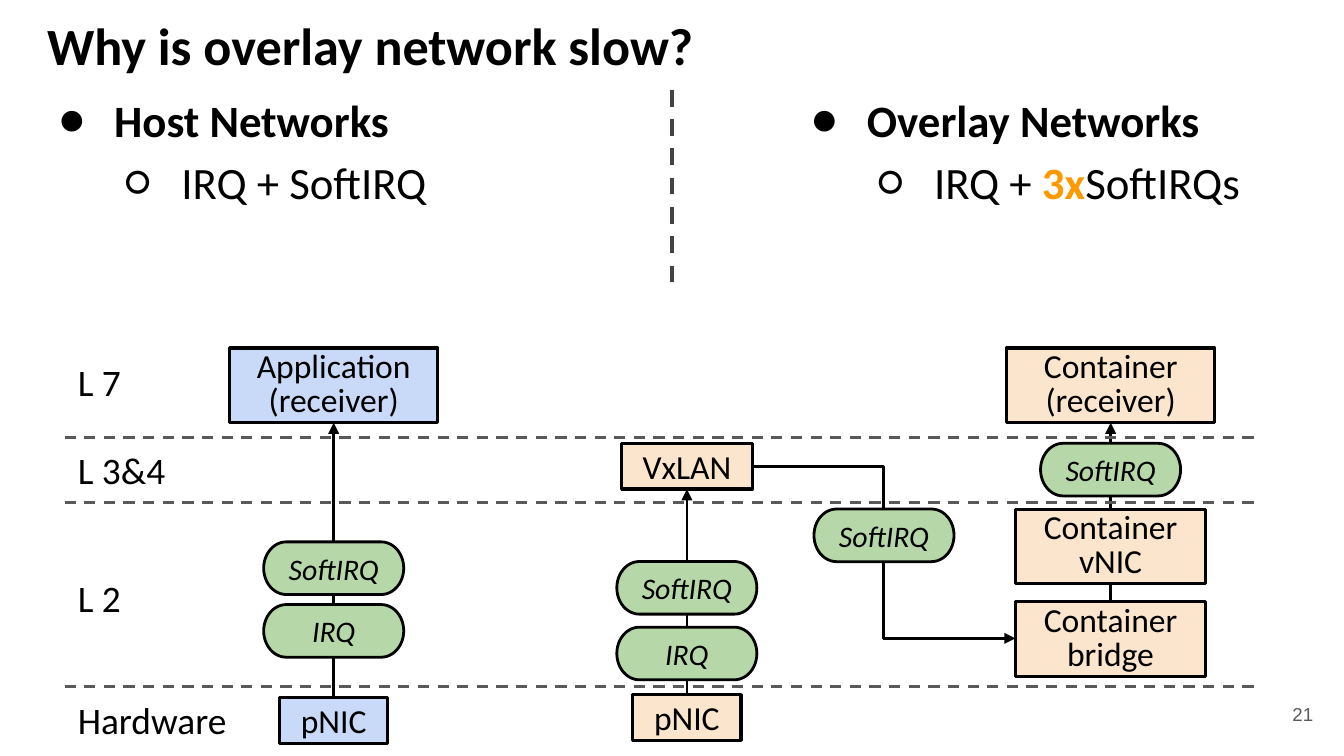
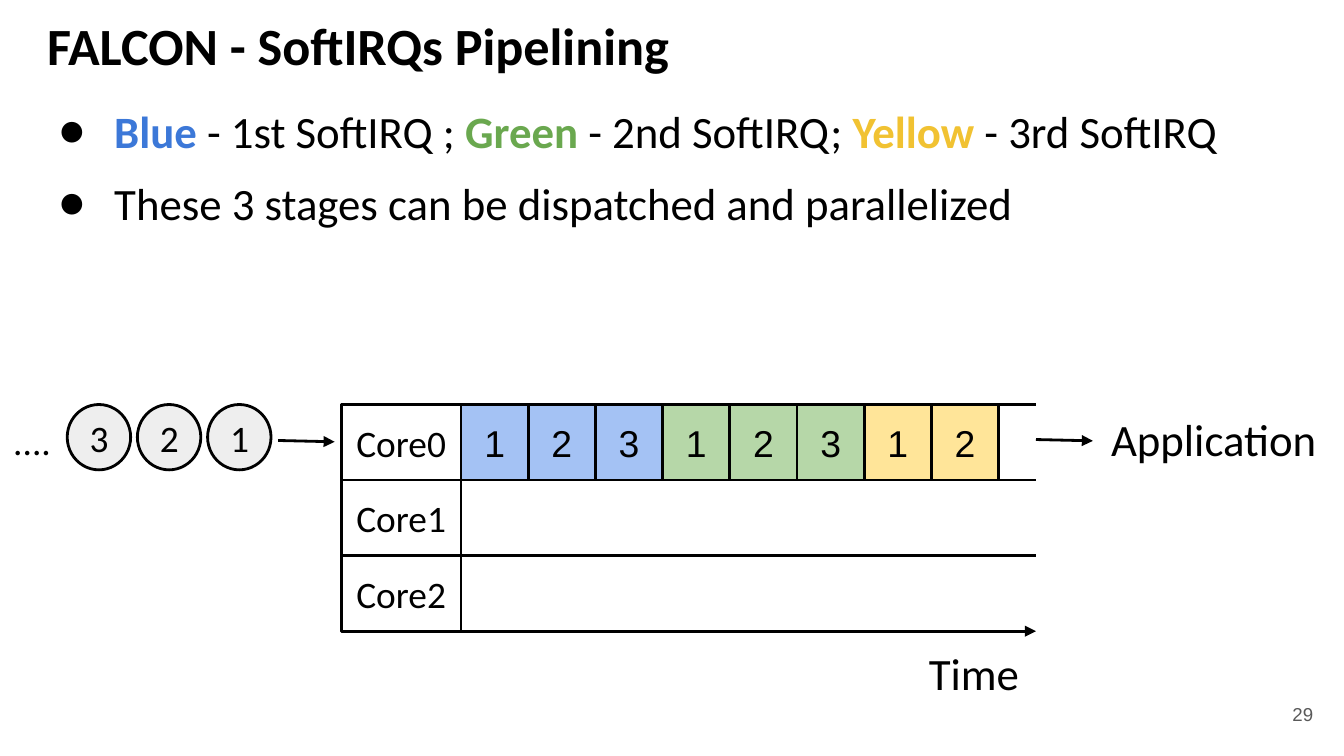
from dataclasses import dataclass

from lxml import etree
from pptx import Presentation
from pptx.dml.color import RGBColor
from pptx.enum.dml import MSO_LINE
from pptx.enum.shapes import MSO_CONNECTOR, MSO_SHAPE
from pptx.enum.text import MSO_ANCHOR, MSO_AUTO_SIZE, PP_ALIGN
from pptx.oxml.ns import qn
from pptx.util import Pt

STRAIGHT, ELBOW = MSO_CONNECTOR.STRAIGHT, MSO_CONNECTOR.ELBOW
RECT = MSO_SHAPE.RECTANGLE
PILL = MSO_SHAPE.FLOWCHART_TERMINATOR
CIRCLE = MSO_SHAPE.FLOWCHART_CONNECTOR
LEFT, CENTER, RIGHT = PP_ALIGN.LEFT, PP_ALIGN.CENTER, PP_ALIGN.RIGHT
TOP, MIDDLE = MSO_ANCHOR.TOP, MSO_ANCHOR.MIDDLE
FIXED_SIZE = MSO_AUTO_SIZE.NONE
DASH = MSO_LINE.DASH

BLACK = RGBColor(0x00, 0x00, 0x00)
GRAY = RGBColor(0x59, 0x59, 0x59)
DARK_GRAY = RGBColor(0x43, 0x43, 0x43)
PACKET_GRAY = RGBColor(0xEE, 0xEE, 0xEE)
HOST_BLUE = RGBColor(0xC9, 0xDA, 0xF8)
OVERLAY_PEACH = RGBColor(0xFC, 0xE5, 0xCD)
STAGE_BLUE = RGBColor(0xA4, 0xC2, 0xF4)
STAGE_GREEN = RGBColor(0xB6, 0xD7, 0xA8)
STAGE_YELLOW = RGBColor(0xFF, 0xE5, 0x99)
WORD_ORANGE = RGBColor(0xFF, 0x99, 0x00)
WORD_BLUE = RGBColor(0x3C, 0x78, 0xD8)
WORD_GREEN = RGBColor(0x6A, 0xA8, 0x4F)
WORD_YELLOW = RGBColor(0xF1, 0xC2, 0x32)

MAIN_FONT, NUMBER_FONT = "Calibri", "Arial"
INSET = 7.2
BULLETS = "●○"


@dataclass
class Area:
    left: float
    top: float
    width: float
    height: float

    def lengths(self) -> tuple:
        return Pt(self.left), Pt(self.top), Pt(self.width), Pt(self.height)


@dataclass
class Style:
    size: float
    font: str = MAIN_FONT
    color: RGBColor = BLACK
    bold: bool = False
    italic: bool = False
    align: int = LEFT


@dataclass
class Span:
    text: str
    color: RGBColor = BLACK
    bold: bool = False


@dataclass
class Item:
    spans: list[Span]
    level: int = 0


@dataclass
class Component:
    text: str
    center: float
    top: float
    width: float
    height: float
    fill: RGBColor


@dataclass
class Link:
    start: tuple[float, float]
    end: tuple[float, float]
    arrow: bool = True
    kind: int = STRAIGHT


TITLE_AREA = Area(18, 0, 671, 48.2)
TITLE = Style(28, bold=True)
PAGE_NUMBER = Style(10, NUMBER_FONT, GRAY, align=RIGHT)
LABEL = Style(20)
LARGE_LABEL = Style(24)
COMPONENT = Style(18, align=CENTER)
INTERRUPT = Style(16, italic=True, align=CENTER)
PACKET = Style(20, align=CENTER)
SLOT = Style(20, NUMBER_FONT, align=CENTER)


def set_frame(frame, anchor: int, inset_x: float = INSET, inset_y: float = INSET) -> None:
    frame.auto_size = FIXED_SIZE
    frame.word_wrap = True
    frame.vertical_anchor = anchor
    frame.margin_left = frame.margin_right = Pt(inset_x)
    frame.margin_top = frame.margin_bottom = Pt(inset_y)


def write(frame, text: str, style: Style) -> None:
    paragraph = frame.paragraphs[0]
    paragraph.add_run().text = text
    paragraph.alignment = style.align
    font = paragraph.font
    font.name, font.size = style.font, Pt(style.size)
    font.bold, font.italic = style.bold, style.italic
    font.color.rgb = style.color


def place(shape, area: Area) -> None:
    shape.left, shape.top, shape.width, shape.height = area.lengths()


def add_label(slide, text: str, area: Area, style: Style, anchor: int = TOP) -> None:
    frame = slide.shapes.add_textbox(*area.lengths()).text_frame
    set_frame(frame, anchor)
    write(frame, text, style)


def add_block(slide, text: str, area: Area, style: Style, fill: RGBColor | None = None,
              kind: int = RECT, weight: float = 1.5,
              insets: tuple[float, float] = (INSET, INSET)):
    block = slide.shapes.add_shape(kind, *area.lengths())
    block.shadow.inherit = False
    if fill is None:
        block.fill.background()
    else:
        block.fill.solid()
        block.fill.fore_color.rgb = fill
    block.line.color.rgb = BLACK
    block.line.width = Pt(weight)
    set_frame(block.text_frame, MIDDLE, *insets)
    write(block.text_frame, text, style)
    return block


def add_line(slide, link: Link, color: RGBColor = BLACK, weight: float = 1.5,
             dashed: bool = False) -> None:
    ends = [Pt(length) for length in (*link.start, *link.end)]
    line = slide.shapes.add_connector(link.kind, *ends)
    line.line.color.rgb = color
    line.line.width = Pt(weight)
    if dashed:
        line.line.dash_style = DASH
    if link.arrow:
        etree.SubElement(line.line._get_or_add_ln(), qn("a:tailEnd"), type="triangle")
    etree.SubElement(line._element.spPr, qn("a:effectLst"))


def add_bullet(paragraph, level: int) -> None:
    properties = paragraph._p.get_or_add_pPr()
    properties.set("marL", str(Pt(36 * (level + 1))))
    properties.set("indent", str(Pt(-30)))
    bullet_color = etree.SubElement(properties, qn("a:buClr"))
    etree.SubElement(bullet_color, qn("a:srgbClr"), val=str(BLACK))
    etree.SubElement(properties, qn("a:buFont"), typeface=MAIN_FONT)
    etree.SubElement(properties, qn("a:buChar"), char=BULLETS[level])


def fill_list(placeholder, area: Area, items: list[Item], spacing: float) -> None:
    place(placeholder, area)
    frame = placeholder.text_frame
    set_frame(frame, TOP)
    for index, item in enumerate(items):
        paragraph = frame.add_paragraph() if index else frame.paragraphs[0]
        paragraph.level = item.level
        add_bullet(paragraph, item.level)
        paragraph.alignment = LEFT
        paragraph.line_spacing = spacing
        paragraph.space_before = paragraph.space_after = Pt(10 if index else 0)
        paragraph.font.name, paragraph.font.size = MAIN_FONT, Pt(24)
        for span in item.spans:
            run = paragraph.add_run()
            run.text = span.text
            run.font.bold = span.bold
            run.font.color.rgb = span.color


def start_slide(deck, layout: int, title: str, number: str):
    slide = deck.slides.add_slide(deck.slide_layouts[layout])
    heading = slide.shapes.title
    place(heading, TITLE_AREA)
    set_frame(heading.text_frame, TOP)
    write(heading.text_frame, title, TITLE)
    add_label(slide, number, Area(667.4, 367.2, 43.2, 31), PAGE_NUMBER, MIDDLE)
    return slide


def build_overlay_slide(deck) -> None:
    slide = start_slide(deck, 3, "Why is overlay network slow?", "21")
    host_list, overlay_list = slide.placeholders[1], slide.placeholders[2]
    fill_list(host_list, Area(18, 48.2, 281, 71.3), [
        Item([Span("Host Networks", bold=True)]),
        Item([Span("IRQ + SoftIRQ")], 1)], 0.8)
    fill_list(overlay_list, Area(421.2, 48.2, 281, 71.3), [
        Item([Span("Overlay Networks", bold=True)]),
        Item([Span("IRQ + "), Span("3x", WORD_ORANGE, True), Span("SoftIRQs")], 1)], 0.8)
    add_line(slide, Link((360, 48.2), (360, 153.4), False), DARK_GRAY, 2.25, True)

    host, overlay, transfer, container = 178.8, 368, 473.6, 595
    components = [
        Component("pNIC", host, 373.7, 58, 24.5, HOST_BLUE),
        Component("Application (receiver)", host, 186.5, 111.6, 40, HOST_BLUE),
        Component("Container bridge", container, 322.4, 102, 40, OVERLAY_PEACH),
        Component("pNIC", overlay, 372.2, 58, 24.5, OVERLAY_PEACH),
        Component("VxLAN", overlay, 237.6, 70, 24.5, OVERLAY_PEACH),
        Component("Container vNIC", container, 272.8, 102, 40, OVERLAY_PEACH),
        Component("Container (receiver)", container, 186.5, 111.6, 40, OVERLAY_PEACH),
    ]
    for part in components:
        area = Area(part.center - part.width / 2, part.top, part.width, part.height)
        block = add_block(slide, part.text, area, COMPONENT, part.fill,
                          weight=1.75, insets=(8.6, 4.3))
        if " " in part.text:
            block.text_frame.paragraphs[0].line_spacing = 0.85

    for layer, top in (("L 7", 185), ("L 3&4", 232.6), ("L 2", 301), ("Hardware", 366.5)):
        add_label(slide, layer, Area(34.6, top, 102, 39), LABEL)

    for link in (
        Link((host, 373.7), (host, 226.5)),
        Link((overlay, 372.2), (overlay, 262.1)),
        Link((402.8, 249.8), (544, 342), kind=ELBOW),
        Link((container, 322.4), (container, 312.8), False),
        Link((container, 272.8), (container, 226.5)),
    ):
        add_line(slide, link)

    for boundary in (234.5, 269.2, 368):
        add_line(slide, Link((34.6, boundary), (672, boundary), False), GRAY, dashed=True)

    for text, center, top in (
        ("SoftIRQ", host, 290.3), ("IRQ", host, 323.9),
        ("IRQ", overlay, 336), ("SoftIRQ", overlay, 300.8),
        ("SoftIRQ", transfer, 272.7), ("SoftIRQ", container, 237.5),
    ):
        add_block(slide, text, Area(center - 37.5, top, 75, 28.2), INTERRUPT,
                  STAGE_GREEN, PILL)


def build_pipeline_slide(deck) -> None:
    slide = start_slide(deck, 1, "FALCON - SoftIRQs Pipelining", "29")
    fill_list(slide.placeholders[1], Area(18, 48.2, 671, 82.8), [
        Item([Span("Blue", WORD_BLUE, True), Span(" - 1st SoftIRQ ; "),
              Span("Green", WORD_GREEN, True), Span(" - 2nd SoftIRQ; "),
              Span("Yellow", WORD_YELLOW, True), Span(" - 3rd SoftIRQ")]),
        Item([Span("These 3 stages can be dispatched and parallelized")])], 1.0)

    lane_top, lane_height = 216.7, 40.5
    core_left, core_width = 182.8, 64.2
    time_start, time_end = core_left + core_width, 555

    for index, packet in enumerate("321"):
        add_block(slide, packet, Area(36 + 37.6 * index, lane_top, 34, 35), PACKET,
                  PACKET_GRAY, CIRCLE)
    add_label(slide, "....", Area(0, lane_top, 39, 61), LABEL)
    add_line(slide, Link((149, 236), (179.3, 236.7)))

    for core in range(3):
        top = lane_top + core * lane_height
        add_block(slide, f"Core{core}", Area(core_left, top, core_width, lane_height), PACKET)
        add_line(slide, Link((time_start, top), (time_start, top + lane_height), False))
    for edge in range(4):
        level = lane_top + edge * lane_height
        add_line(slide, Link((time_start, level), (time_end, level), edge == 3))
    add_label(slide, "Time", Area(490.5, 338.5, 64.2, 44), LARGE_LABEL)
    add_label(slide, "Application", Area(588.1, 213.6, 131.9, 44), LARGE_LABEL)
    add_line(slide, Link((time_end, 235.5), (585.5, 236.2)))

    stages = (("123", STAGE_BLUE), ("123", STAGE_GREEN), ("12", STAGE_YELLOW))
    slots = [(packet, fill) for packets, fill in stages for packet in packets]
    for index, (packet, fill) in enumerate(slots):
        add_block(slide, packet, Area(time_start + 36 * index, lane_top, 36, lane_height),
                  SLOT, fill)


def main() -> None:
    deck = Presentation()
    deck.slide_width, deck.slide_height = Pt(720), Pt(405)
    build_overlay_slide(deck)
    build_pipeline_slide(deck)
    deck.save("out.pptx")


if __name__ == "__main__":
    main()
